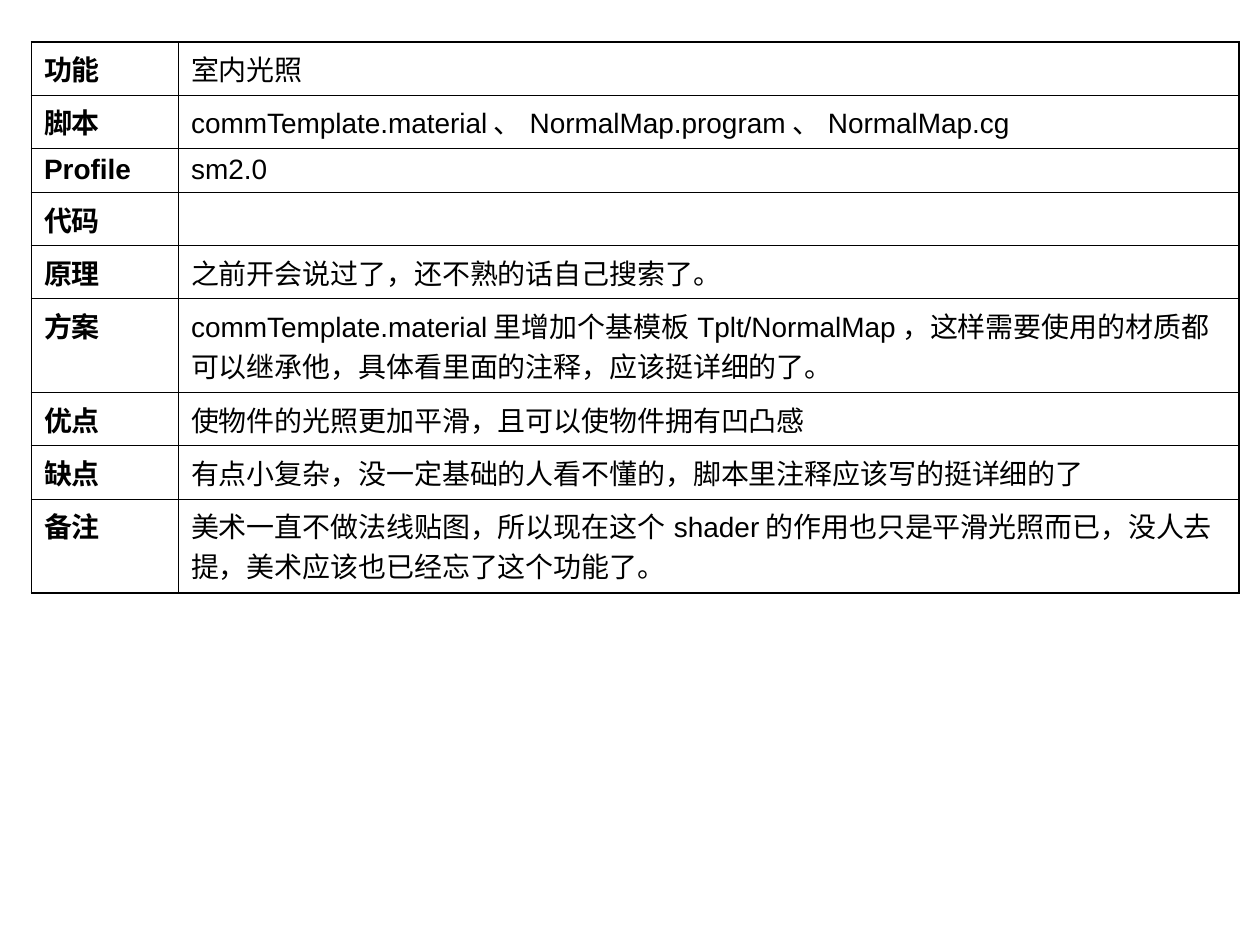
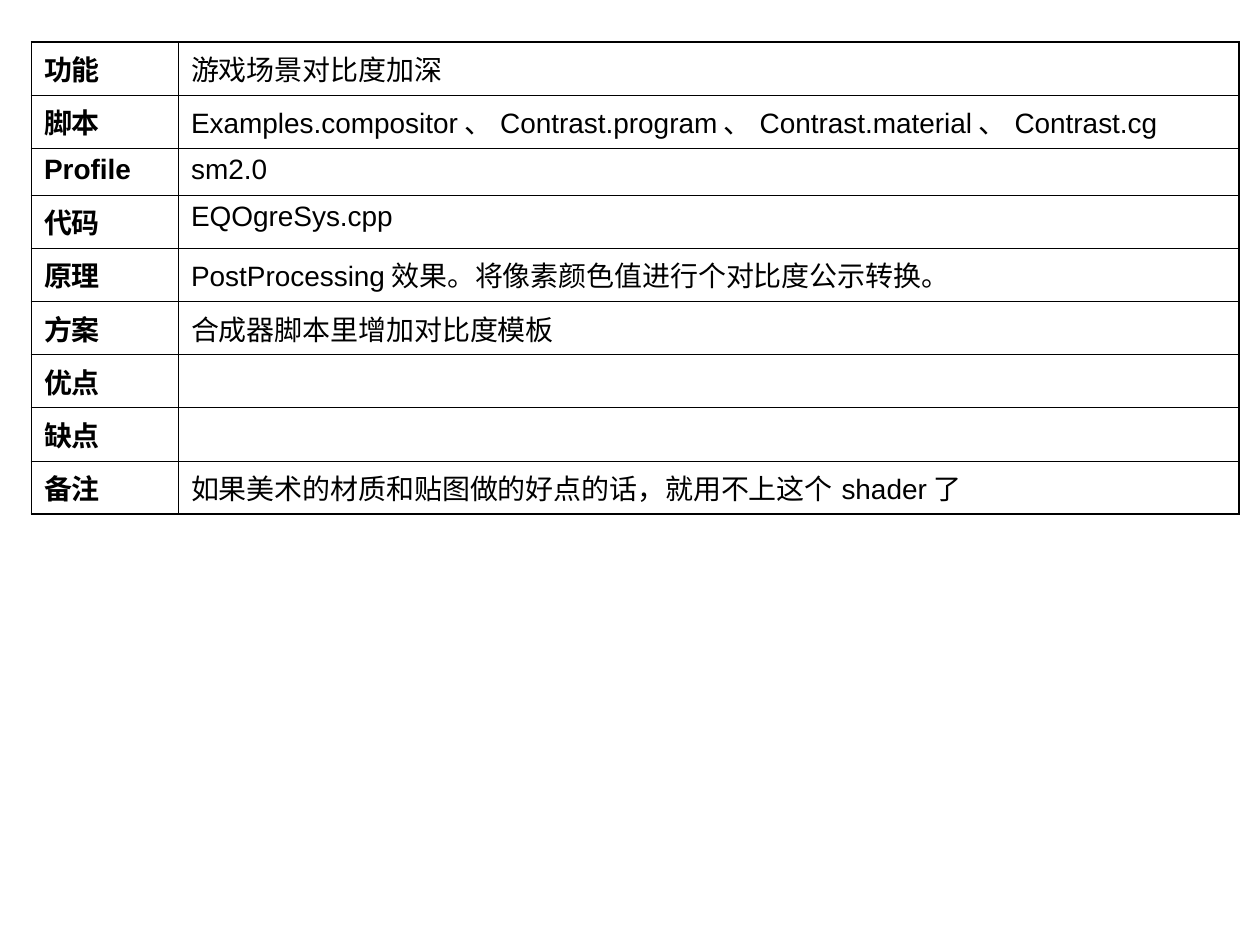
import pptx
import pptx.dml.color
import pptx.enum.lang
import pptx.oxml
import pptx.oxml.ns
import pptx.util

Pt = pptx.util.Pt
BLACK = pptx.dml.color.RGBColor(0, 0, 0)
THIN, THICK = 0.45, 1.08
ROW, TALL = 30.4, 53.6
LABELS = ["功能", "脚本", "Profile", "代码", "原理", "方案", "优点", "缺点", "备注"]
WIDTHS = [84, 606]

SHEETS = [
    (25.2, [
        "室内光照",
        "commTemplate.material、NormalMap.program、NormalMap.cg",
        "sm2.0",
        "",
        "之前开会说过了，还不熟的话自己搜索了。",
        "commTemplate.material里增加个基模板Tplt/NormalMap，这样需要使用的材质都可以继承他，具体看里面的注释，应该挺详细的了。",
        "使物件的光照更加平滑，且可以使物件拥有凹凸感",
        "有点小复杂，没一定基础的人看不懂的，脚本里注释应该写的挺详细的了",
        "美术一直不做法线贴图，所以现在这个shader的作用也只是平滑光照而已，没人去提，美术应该也已经忘了这个功能了。",
    ]),
    (26.7, [
        "游戏场景对比度加深",
        "Examples.compositor、Contrast.program、Contrast.material、Contrast.cg",
        "sm2.0",
        "EQOgreSys.cpp",
        "PostProcessing效果。将像素颜色值进行个对比度公示转换。",
        "合成器脚本里增加对比度模板",
        "",
        "",
        "如果美术的材质和贴图做的好点的话，就用不上这个shader了",
    ]),
]


def write(cell, text, size=16, bold=False, color=BLACK):
    if not text:
        return
    para = cell.text_frame.paragraphs[0]
    para.space_before = Pt(4)
    run = para.add_run()
    run.text = text
    font = run.font
    font.name = "Arial"
    font.size = Pt(size)
    font.bold = bold
    font.color.rgb = color
    font.language_id = pptx.enum.lang.MSO_LANGUAGE_ID.SIMPLIFIED_CHINESE


def frame(cell, **sides):
    props = cell._tc.get_or_add_tcPr()
    for spot, (side, width) in enumerate(sides.items()):
        line = pptx.oxml.parse_xml(
            f'<a:ln{side} {pptx.oxml.ns.nsdecls("a")} w="{Pt(width)}">'
            f'<a:solidFill><a:srgbClr val="{BLACK}"/></a:solidFill></a:ln{side}>')
        props.insert(spot, line)


deck = pptx.Presentation()
deck.slide_width, deck.slide_height = Pt(720), Pt(540)

for short, notes in SHEETS:
    slide = deck.slides.add_slide(deck.slide_layouts[6])
    heights = [TALL if len(note) > 50 and "，" in note else ROW for note in notes]
    heights[LABELS.index("Profile")] = short
    last = len(LABELS) - 1
    table = slide.shapes.add_table(
        len(LABELS), 2, Pt(18), Pt(24), Pt(sum(WIDTHS)), Pt(sum(heights))).table
    table.first_row = table.horz_banding = False
    for col, width in zip(table.columns, WIDTHS):
        col.width = Pt(width)
    for row, pair in enumerate(zip(LABELS, notes)):
        table.rows[row].height = Pt(heights[row])
        for col, text in enumerate(pair):
            cell = table.cell(row, col)
            cell.fill.background()
            write(cell, text, bold=col == 0)
            frame(cell,
                  L=THICK if col == 0 else THIN,
                  R=THICK if col == 1 else THIN,
                  T=THICK if row == 0 else THIN,
                  B=THICK if row == last else THIN)

deck.save("out.pptx")
